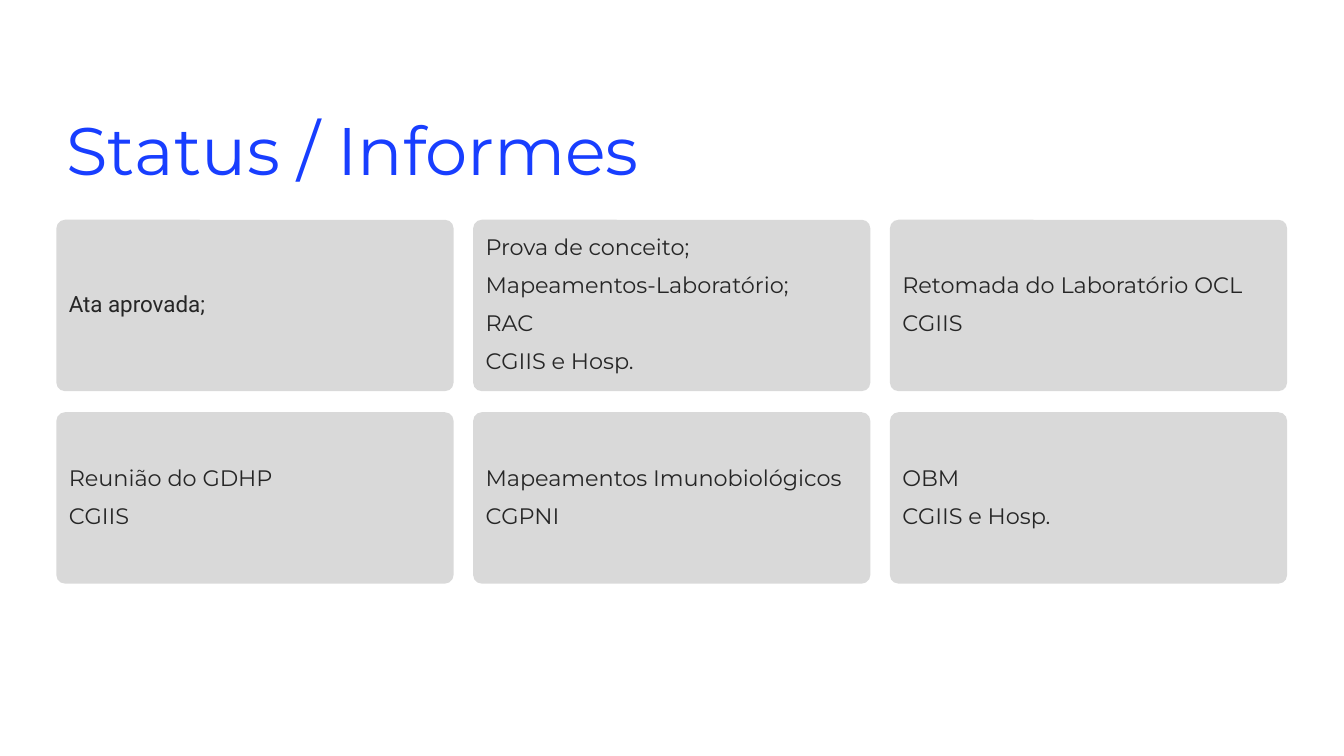
import pptx
import pptx.dml.color
import pptx.enum.shapes
import pptx.enum.text
import pptx.util

Pt = pptx.util.Pt
COLORS = {"title": "183EFF", "card": "D9D9D9", "text": "262626"}

GRID_LEFT, GRID_TOP = 40.3, 157
CARD_WIDTH, CARD_HEIGHT = 283.7, 122.4
COLUMN_STEP, ROW_STEP = 297.7, 137.5

STATUS_ROWS = [
    [
        ["Ata aprovada;"],
        ["Prova de conceito;", "Mapeamentos-Laboratório;", "RAC", "CGIIS e Hosp."],
        ["Retomada do Laboratório OCL", "CGIIS"],
    ],
    [
        ["Reunião do GDHP", "CGIIS"],
        ["Mapeamentos Imunobiológicos", "CGPNI"],
        ["OBM", "CGIIS e Hosp."],
    ],
]


def rgb(name):
    return pptx.dml.color.RGBColor.from_string(COLORS[name])


def write_lines(frame, lines, size, color, font):
    frame.word_wrap = True
    for index, line in enumerate(lines):
        paragraph = frame.paragraphs[0] if index == 0 else frame.add_paragraph()
        paragraph.text = line
        paragraph.alignment = pptx.enum.text.PP_ALIGN.LEFT
        paragraph.line_spacing = 0.9
        paragraph.space_before = Pt(10 if index else 0)
        paragraph.font.name = font
        paragraph.font.size = Pt(size)
        paragraph.font.color.rgb = rgb(color)


def add_title(slide, text):
    title = slide.shapes.add_textbox(Pt(40.3), Pt(80), Pt(628.6), Pt(46.8))
    write_lines(title.text_frame, [text], 48, "title", "Montserrat")


def add_card(slide, left, top, lines, font):
    card = slide.shapes.add_shape(
        pptx.enum.shapes.MSO_SHAPE.ROUNDED_RECTANGLE,
        Pt(left), Pt(top), Pt(CARD_WIDTH), Pt(CARD_HEIGHT),
    )
    card.adjustments[0] = 0.05
    card.shadow.inherit = False
    card.fill.solid()
    card.fill.fore_color.rgb = rgb("card")
    card.line.fill.background()
    card.text_frame.vertical_anchor = pptx.enum.text.MSO_ANCHOR.MIDDLE
    write_lines(card.text_frame, lines, 16, "text", font)


def main():
    deck = pptx.Presentation()
    deck.slide_width, deck.slide_height = Pt(960), Pt(540)
    slide = deck.slides.add_slide(deck.slide_layouts[6])

    add_title(slide, "Status / Informes")
    for row, cards in enumerate(STATUS_ROWS):
        for column, lines in enumerate(cards):
            font = "Roboto" if row == column == 0 else "Montserrat"
            left = GRID_LEFT + column * COLUMN_STEP
            top = GRID_TOP + row * ROW_STEP
            add_card(slide, left, top, lines, font)

    deck.save("out.pptx")


if __name__ == "__main__":
    main()
